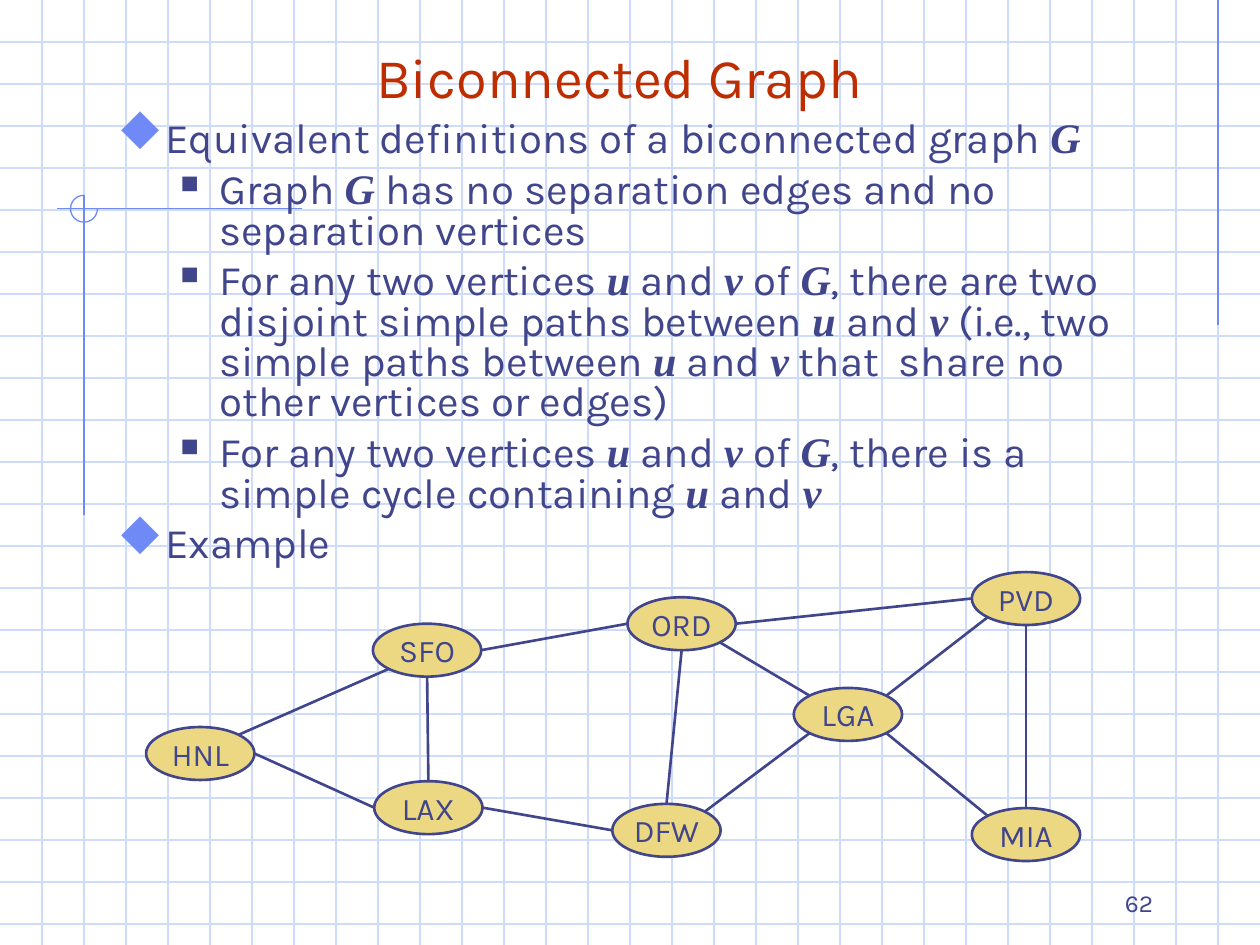
from math import cos, radians, sin

from lxml.etree import SubElement
from pptx import Presentation
from pptx.dml.color import RGBColor
from pptx.enum.shapes import MSO_CONNECTOR, MSO_SHAPE
from pptx.enum.text import MSO_ANCHOR, PP_ALIGN
from pptx.oxml.ns import qn
from pptx.util import Inches, Pt

GRID = RGBColor(0xCF, 0xDB, 0xFD)
BLUE = RGBColor(0x6F, 0x89, 0xF7)
NAVY = RGBColor(0x40, 0x45, 0x8C)
RED = RGBColor(0xBE, 0x2D, 0x00)
SAND = RGBColor(0xEC, 0xD8, 0x82)
FONT, MATH, SIGNS = "Karla", "Times New Roman", "Wingdings"

# All places are in cells of the squared paper: 30 columns by 22.5 rows
COLS, ROWS = 30, 22.5
deck = Presentation()
deck.slide_width, deck.slide_height = Inches(10), Inches(7.5)
CELL = deck.slide_width / COLS
slide = deck.slides.add_slide(deck.slide_layouts[6])
shapes = slide.shapes


def cells(*nums):
    return [round(n * CELL) for n in nums]


def rule(x1, y1, x2, y2, color, width=0.75):
    """Draw a straight line without a shadow."""
    line = shapes.add_connector(MSO_CONNECTOR.STRAIGHT, *cells(x1, y1, x2, y2))
    line.line.color.rgb = color
    line.line.width = Pt(width)
    SubElement(line._element.spPr, qn("a:effectLst"))


# Squared paper
for row in range(1, 23):
    rule(0, row, COLS, row, GRID)
for col in range(1, COLS):
    rule(col, 0, col, ROWS, GRID)

# Margin lines and the three-quarter ring where two of them cross
rule(29, 0, 29, 7.75, BLUE)
rule(7.2, 4.97, 1.35, 4.97, BLUE)
rule(2, 4.65, 2, 12.27, BLUE)
ring = shapes.add_shape(MSO_SHAPE.ARC, *cells(1.68, 4.65, 0.64, 0.64))
ring.adjustments[0], ring.adjustments[1] = 0, 162
ring.fill.background()
ring.line.color.rgb = BLUE
ring.line.width = Pt(0.75)
ring.shadow.inherit = False

# Title and slide number
for text, place, size, color, align in [
    ("Biconnected Graph", (2, 1, 25.5, 1.75), 32, RED, PP_ALIGN.CENTER),
    ("62", (21.5, 20.5, 6.25, 1.5), 14, NAVY, PP_ALIGN.RIGHT),
]:
    frame = shapes.add_textbox(*cells(*place)).text_frame
    frame.word_wrap = True
    frame.vertical_anchor = MSO_ANCHOR.BOTTOM
    para = frame.paragraphs[0]
    para.text = text
    para.alignment = align
    para.font.name, para.font.size = FONT, Pt(size)
    para.font.color.rgb = color

# Definitions: stars mark the mathematical names
POINTS = [
    (0, "Equivalent definitions of a biconnected graph *G*"),
    (1, "Graph *G *has no separation edges and no separation vertices"),
    (1, "For any two vertices *u *and *v *of *G*, there are two disjoint "
        "simple paths between *u *and *v* (i.e., two simple paths between "
        "*u *and *v* that  share no other vertices or edges)"),
    (1, "For any two vertices *u *and *v *of *G*, there is a simple cycle "
        "containing *u *and *v*"),
    (0, "Example"),
]
# Per level: left margin, hanging indent, bullet, its colour and its size;
# in the sign font u is a diamond and n a square
LEVELS = [(0.38, 0.38, "u", BLUE, 110), (0.81, 0.31, "n", NAVY, 60)]

body = shapes.add_textbox(*cells(2.5, 2.75, 25.5, 11.5)).text_frame
body.word_wrap = True
for i, (level, text) in enumerate(POINTS):
    para = body.add_paragraph() if i else body.paragraphs[0]
    left, hang, mark, color, share = LEVELS[level]
    para.level = level
    para.line_spacing = 0.8
    para.space_before = Pt(6 if i else 0)
    props = para._p.get_or_add_pPr()
    props.set("marL", str(Inches(left)))
    props.set("indent", str(-Inches(hang)))
    tint = SubElement(props, qn("a:buClr"))
    SubElement(tint, qn("a:srgbClr"), val=str(color))
    SubElement(props, qn("a:buSzPct"), val=str(share * 1000))
    SubElement(props, qn("a:buFont"), typeface=SIGNS, pitchFamily="2",
               charset="2")
    SubElement(props, qn("a:buChar"), char=mark)
    para.font.name, para.font.size = FONT, Pt(24)
    para.font.color.rgb = NAVY
    for j, part in enumerate(text.split("*")):
        if part:
            run = para.add_run()
            run.text = part
            if j % 2:
                run.font.name = MATH
                run.font.bold = run.font.italic = True

# Airports, by the centre of each node
WIDE, HIGH = 2.58, 1.26
NODES = {
    "ORD": (16.23, 14.85), "PVD": (24.43, 14.25), "MIA": (24.43, 19.87),
    "DFW": (15.87, 19.77), "SFO": (10.17, 15.48), "LAX": (10.2, 19.23),
    "LGA": (20.19, 17.01), "HNL": (4.77, 17.94),
}
for name, (x, y) in NODES.items():
    node = shapes.add_shape(
        MSO_SHAPE.OVAL, *cells(x - WIDE / 2, y - HIGH / 2, WIDE, HIGH))
    node.shadow.inherit = False
    node.fill.solid()
    node.fill.fore_color.rgb = SAND
    node.line.color.rgb = NAVY
    node.line.width = Pt(1.5)
    frame = node.text_frame
    frame.word_wrap = False
    frame.vertical_anchor = MSO_ANCHOR.MIDDLE
    para = frame.paragraphs[0]
    para.text = name
    para.alignment = PP_ALIGN.CENTER
    para.font.name, para.font.size = FONT, Pt(18)
    para.font.color.rgb = NAVY

# Flights: each end is an airport and the angle, clockwise from the right,
# at which the edge meets its ellipse
EDGES = [
    ("DFW", 270, "ORD", 90), ("DFW", 315, "LGA", 135),
    ("LGA", 315, "PVD", 135), ("HNL", 0, "LAX", 180),
    ("SFO", 90, "LAX", 270), ("LGA", 45, "MIA", 225),
    ("LGA", 225, "ORD", 45), ("LAX", 0, "DFW", 180),
    ("HNL", 315, "SFO", 135), ("MIA", 270, "PVD", 90),
    ("SFO", 0, "ORD", 180), ("ORD", 0, "PVD", 180),
]
for start, out, end, into in EDGES:
    spots = []
    for name, angle in ((start, out), (end, into)):
        x, y = NODES[name]
        turn = radians(angle)
        spots += [x + WIDE / 2 * cos(turn), y + HIGH / 2 * sin(turn)]
    rule(*spots, NAVY, 1.5)

deck.save("out.pptx")
